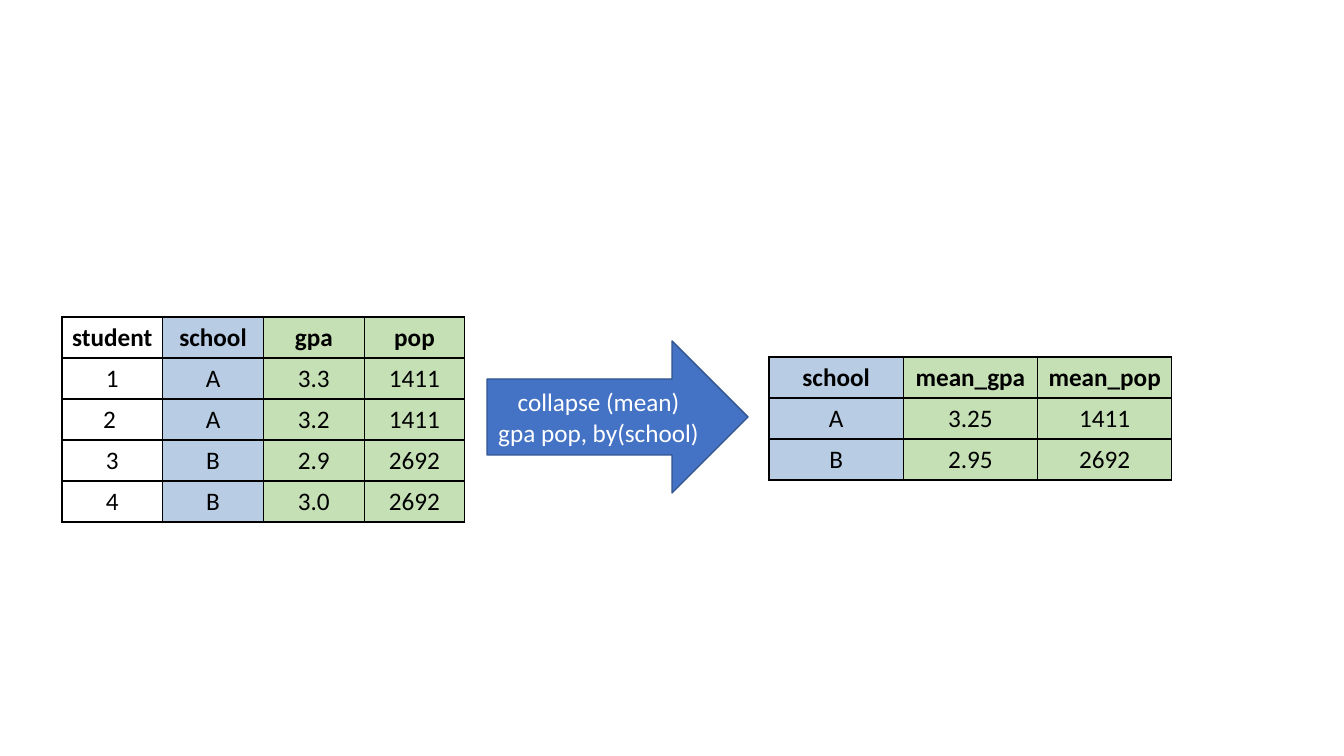
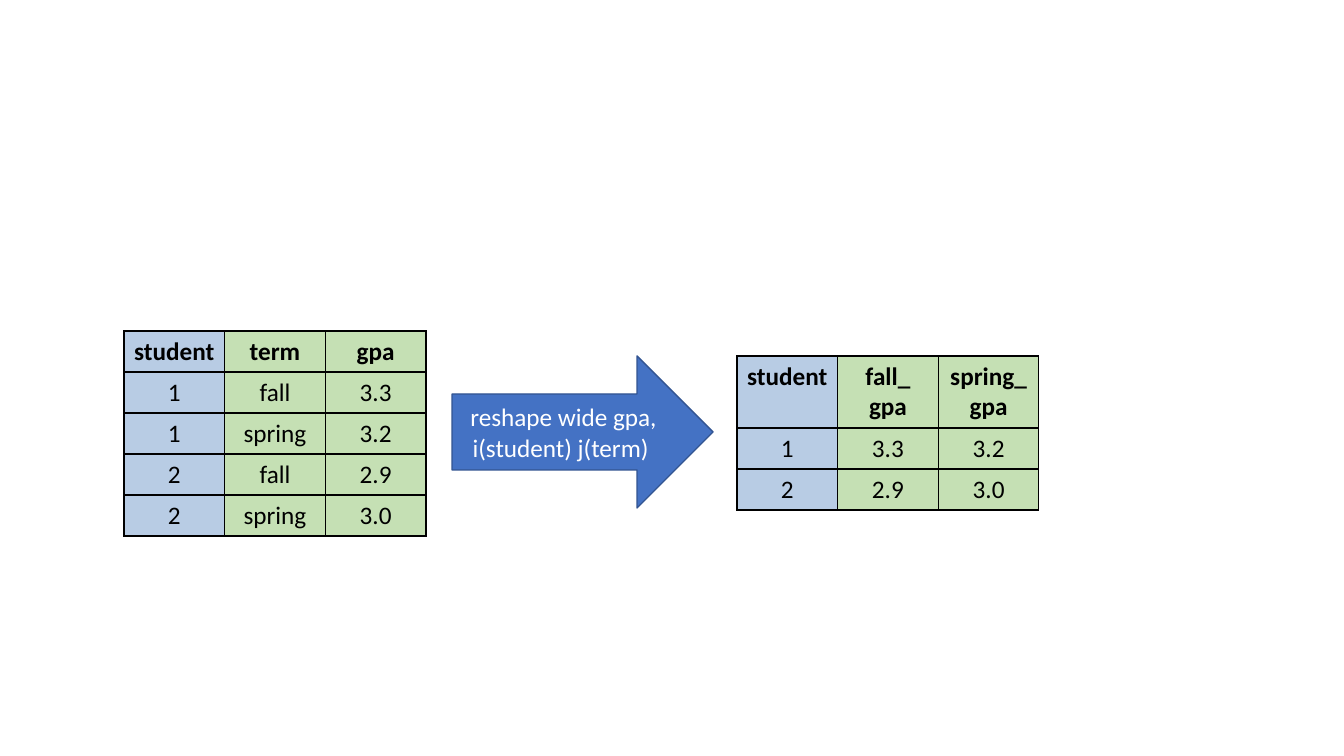
from pptx import Presentation
from pptx.dml.color import RGBColor
from pptx.enum.shapes import MSO_SHAPE
from pptx.enum.text import MSO_ANCHOR, PP_ALIGN
from pptx.oxml import parse_xml
from pptx.oxml.ns import nsdecls
from pptx.util import Pt

SCALE = 914400 / 100.8
BLACK, WHITE = "000000", "FFFFFF"
KEY, DATA = "B8CCE4", "C5E0B4"
ARROW, EDGE = "4472C4", "325491"
ROW = 41


def px(n):
    return round(n * SCALE)


def color(code):
    return RGBColor.from_string(code)


def write(frame, text, ink=BLACK, bold=False, size=18, font="Calibri"):
    frame.word_wrap = True
    frame.text = text
    for para in frame.paragraphs:
        para.alignment = PP_ALIGN.CENTER
        for run in para.runs:
            run.font.name, run.font.size = font, Pt(size)
            run.font.bold = bold
            run.font.color.rgb = color(ink)


def border(cell):
    props = cell._tc.get_or_add_tcPr()
    for spot, side in enumerate(("lnL", "lnR", "lnT", "lnB")):
        props.insert(spot, parse_xml(
            f'<a:{side} {nsdecls("a")} w="{Pt(1)}"><a:solidFill>'
            f'<a:srgbClr val="{BLACK}"/></a:solidFill></a:{side}>'))


class Deck:
    def __init__(self, wide, high):
        self.prs = Presentation()
        self.prs.slide_width, self.prs.slide_height = px(wide), px(high)
        self.slide = None

    def page(self):
        self.slide = self.prs.slides.add_slide(self.prs.slide_layouts[6])

    def arrow(self, left, top, text):
        shape = self.slide.shapes.add_shape(
            MSO_SHAPE.RIGHT_ARROW, px(left), px(top), px(261), px(152))
        shape.shadow.inherit = False
        shape.fill.solid()
        shape.fill.fore_color.rgb = color(ARROW)
        shape.line.color.rgb = color(EDGE)
        shape.line.width = Pt(1)
        shape.text_frame.vertical_anchor = MSO_ANCHOR.MIDDLE
        write(shape.text_frame, text, ink=WHITE)

    def table(self, left, top, rows, fills, wide, head=ROW):
        """Draw rows of text; each column has one fill and an equal width."""
        count = len(fills)
        high = head + ROW * (len(rows) - 1)
        grid = self.slide.shapes.add_table(
            len(rows), count, px(left), px(top), px(wide), px(high)).table
        for col in grid.columns:
            col.width = px(wide / count)
        for r, row in enumerate(rows):
            grid.rows[r].height = px(ROW if r else head)
            for c, (text, fill) in enumerate(zip(row, fills)):
                cell = grid.cell(r, c)
                cell.margin_left = cell.margin_right = px(7)
                cell.fill.solid()
                cell.fill.fore_color.rgb = color(fill)
                border(cell)
                write(cell.text_frame, text, bold=r == 0)


deck = Deck(1344, 756)

# Collapse: one row per school
deck.page()
deck.arrow(487, 341, "collapse (mean) gpa pop, by(school)")
deck.table(62, 317, [
    ("student", "school", "gpa", "pop"),
    ("1", "A", "3.3", "1411"),
    ("2 ", "A", "3.2", "1411"),
    ("3", "B", "2.9", "2692"),
    ("4", "B", "3.0", "2692"),
], (WHITE, KEY, DATA, DATA), 403)
deck.table(769, 357, [
    ("school", "mean_gpa", "mean_pop"),
    ("A", "3.25", "1411"),
    ("B", "2.95", "2692"),
], (KEY, DATA, DATA), 403)

# Reshape: one row per student
deck.page()
deck.arrow(452, 356, "reshape wide gpa, i(student) j(term) ")
deck.table(124, 331, [
    ("student", "term", "gpa"),
    ("1", "fall", "3.3"),
    ("1", "spring", "3.2"),
    ("2", "fall", "2.9"),
    ("2", "spring", "3.0"),
], (KEY, DATA, DATA), 302)
deck.table(737, 356, [
    ("student", "fall_\ngpa", "spring_gpa"),
    ("1", "3.3", "3.2"),
    ("2", "2.9", "3.0"),
], (KEY, DATA, DATA), 302, head=72)

deck.prs.save("out.pptx")
